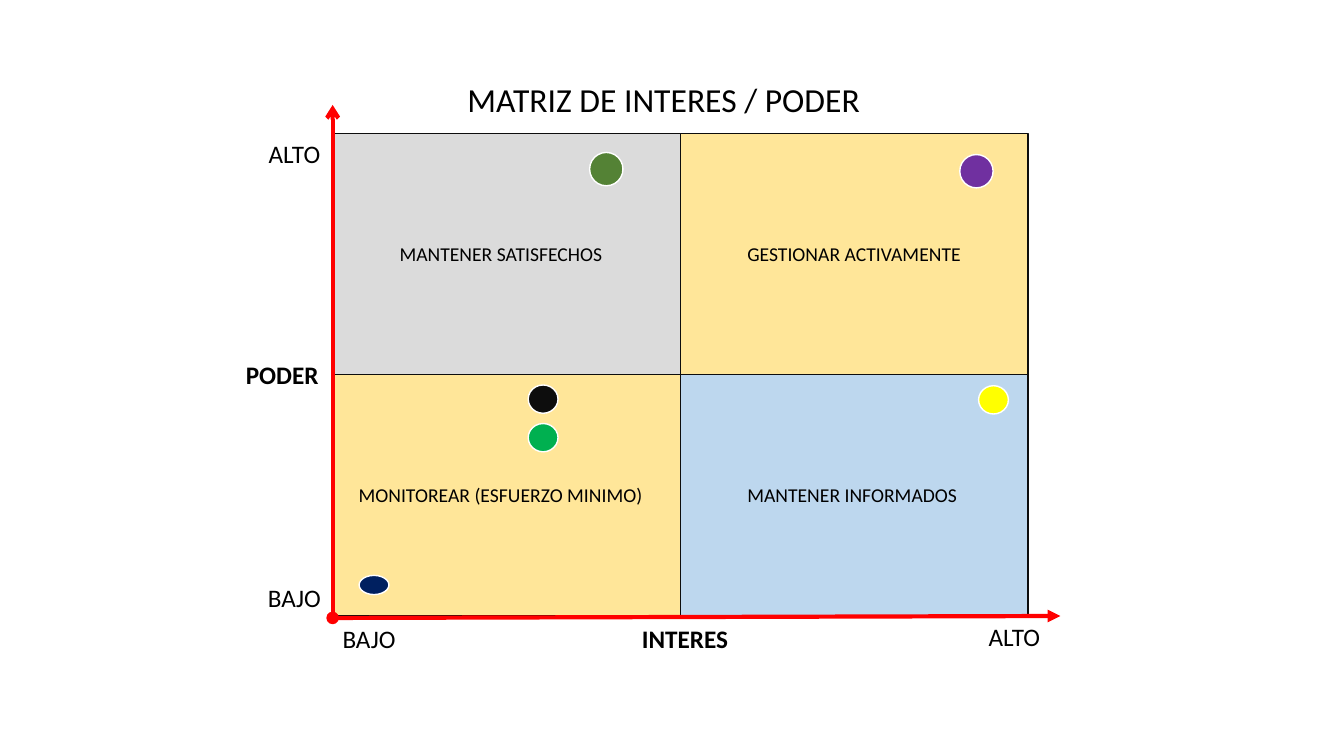
from dataclasses import dataclass
from typing import Any

from lxml.etree import SubElement as add_sub
from pptx import Presentation
from pptx.dml.color import RGBColor as Rgb
from pptx.enum.shapes import MSO_CONNECTOR as Link, MSO_SHAPE as Form
from pptx.enum.text import MSO_AUTO_SIZE as Fit, PP_ALIGN as Align
from pptx.oxml.ns import qn
from pptx.util import Pt


@dataclass(frozen=True)
class Theme:
    font: str = "Calibri"
    ink: str = "000000"
    edge: str = "0D0D0D"
    ring: str = "FFFFFF"
    axis: str = "FF0000"
    sand: str = "FFE699"
    gray: str = "DBDBDB"
    blue: str = "BDD7EE"
    head: float = 24
    scale: float = 18
    note: float = 14
    thin: float = 1
    thick: float = 3


@dataclass(frozen=True)
class Zone:
    col: int
    row: int
    span: int
    fill: str


@dataclass(frozen=True)
class Note:
    col: int
    row: int
    wide: float
    text: str


@dataclass(frozen=True)
class Label:
    left: float
    top: float
    wide: float
    text: str
    bold: bool = False


@dataclass(frozen=True)
class Dot:
    left: float
    top: float
    wide: float
    high: float
    fill: str


@dataclass(frozen=True)
class Axis:
    start: tuple[float, float]
    end: tuple[float, float]
    ends: dict[str, str]


T = Theme()

# Matrix grid: two by two equal cells
LEFT, TOP = 237.6, 95.2
CELL_W, CELL_H = 248.4, 172.4
BASE = TOP + 2 * CELL_H
NOTE_H, LABEL_H = 24.2, 29.1

ZONES = [
    Zone(0, 0, 2, T.sand),
    Zone(0, 0, 1, T.gray),
    Zone(1, 1, 1, T.blue),
]
AXES = [
    Axis((LEFT, BASE), (LEFT, 75), {"tailEnd": "arrow"}),
    Axis((LEFT, 441.4), (757.4, BASE),
         {"headEnd": "oval", "tailEnd": "triangle"}),
]
NOTES = [
    Note(0, 0, 167, "MANTENER SATISFECHOS"),
    Note(1, 0, 167, "GESTIONAR ACTIVAMENTE"),
    Note(0, 1, 225.4, "MONITOREAR (ESFUERZO MINIMO)"),
    Note(1, 1, 167, "MANTENER INFORMADOS"),
]
LABELS = [
    Label(168.5, 253.4, 68.4, "PODER", True),
    Label(184.8, 95.2, 58.3, "ALTO"),
    Label(184.3, 412.6, 53.3, "BAJO"),
    Label(451.4, 441.4, 82, "INTERES", True),
    Label(LEFT, 441.4, 53.3, "BAJO"),
    Label(699, 440.6, 58.3, "ALTO"),
]
DOTS = [
    Dot(377.3, 275, 21.3, 20.2, "0D0D0D"),
    Dot(699, 275.5, 21.3, 20.2, "FFFF00"),
    Dot(377.3, 302.5, 21.3, 20.2, "00B050"),
    Dot(256.5, 411, 21.3, 13.7, "002060"),
    Dot(685.6, 110.4, 23.8, 23.8, "7030A0"),
    Dot(421.2, 108.9, 23.8, 23.8, "548235"),
]


def add_form(slide: Any, form: Any, box: tuple[float, ...],
             fill: str, edge: str) -> None:
    shape = slide.shapes.add_shape(form, *(Pt(n) for n in box))
    shape.shadow.inherit = False
    shape.fill.solid()
    shape.fill.fore_color.rgb = Rgb.from_string(fill)
    shape.line.color.rgb = Rgb.from_string(edge)
    shape.line.width = Pt(T.thin)


def add_axis(slide: Any, axis: Axis) -> None:
    line = slide.shapes.add_connector(
        Link.STRAIGHT, *(Pt(n) for n in axis.start + axis.end))
    line.line.color.rgb = Rgb.from_string(T.axis)
    line.line.width = Pt(T.thick)
    stroke = line.line._get_or_add_ln()
    for tag, kind in axis.ends.items():
        add_sub(stroke, qn(f"a:{tag}"), type=kind)
    add_sub(line._element.spPr, qn("a:effectLst"))


def add_text(slide: Any, box: tuple[float, ...], text: str, size: float,
             bold: bool = False, wrap: bool = True,
             align: Any = Align.LEFT) -> None:
    frame = slide.shapes.add_textbox(*(Pt(n) for n in box)).text_frame
    frame.text = text
    frame.word_wrap = wrap
    frame.auto_size = Fit.SHAPE_TO_FIT_TEXT
    line = frame.paragraphs[0]
    line.alignment = align
    font = line.runs[0].font
    font.name, font.size, font.bold = T.font, Pt(size), bold
    font.color.rgb = Rgb.from_string(T.ink)


def main() -> None:
    deck = Presentation()
    deck.slide_width, deck.slide_height = Pt(960), Pt(540)
    slide = deck.slides.add_slide(deck.slide_layouts[6])

    # Coloured zones
    for zone in ZONES:
        box = (LEFT + zone.col * CELL_W, TOP + zone.row * CELL_H,
               zone.span * CELL_W, zone.span * CELL_H)
        add_form(slide, Form.RECTANGLE, box, zone.fill, T.edge)

    # Power and interest axes
    for axis in AXES:
        add_axis(slide, axis)

    # Strategy notes, centred in their cells
    for note in NOTES:
        left = LEFT + (note.col + 0.5) * CELL_W - note.wide / 2
        top = TOP + (note.row + 0.5) * CELL_H - NOTE_H / 2
        add_text(slide, (left, top, note.wide, NOTE_H), note.text, T.note)

    # Axis labels
    for label in LABELS:
        box = (label.left, label.top, label.wide, LABEL_H)
        add_text(slide, box, label.text, T.scale, label.bold)

    # Stakeholder dots
    for dot in DOTS:
        box = (dot.left, dot.top, dot.wide, dot.high)
        add_form(slide, Form.OVAL, box, dot.fill, T.ring)

    # Title
    add_text(slide, (325.4, 52.6, 297.4, 36.3), "MATRIZ DE INTERES / PODER",
             T.head, wrap=False, align=Align.CENTER)

    deck.save("out.pptx")


if __name__ == "__main__":
    main()
